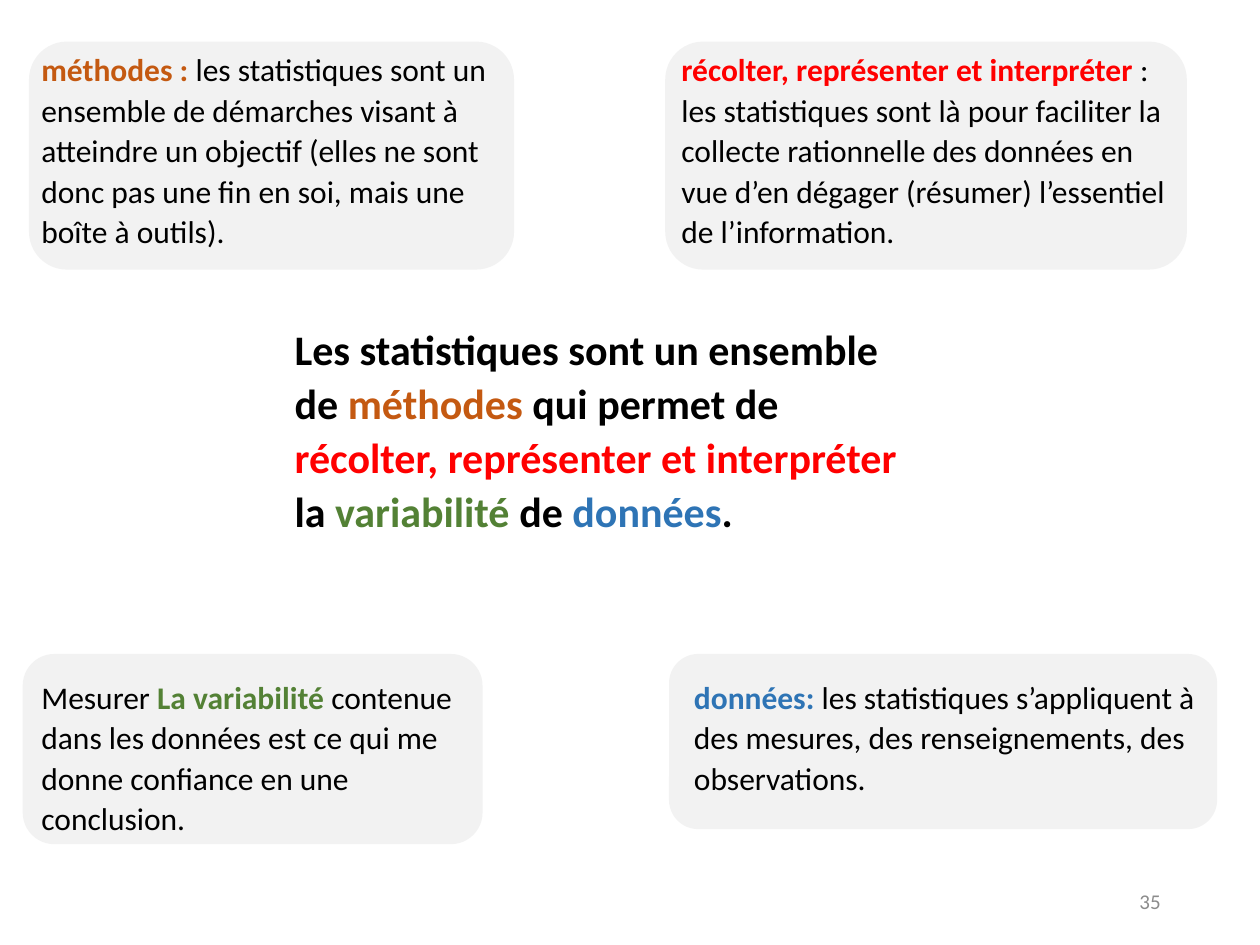
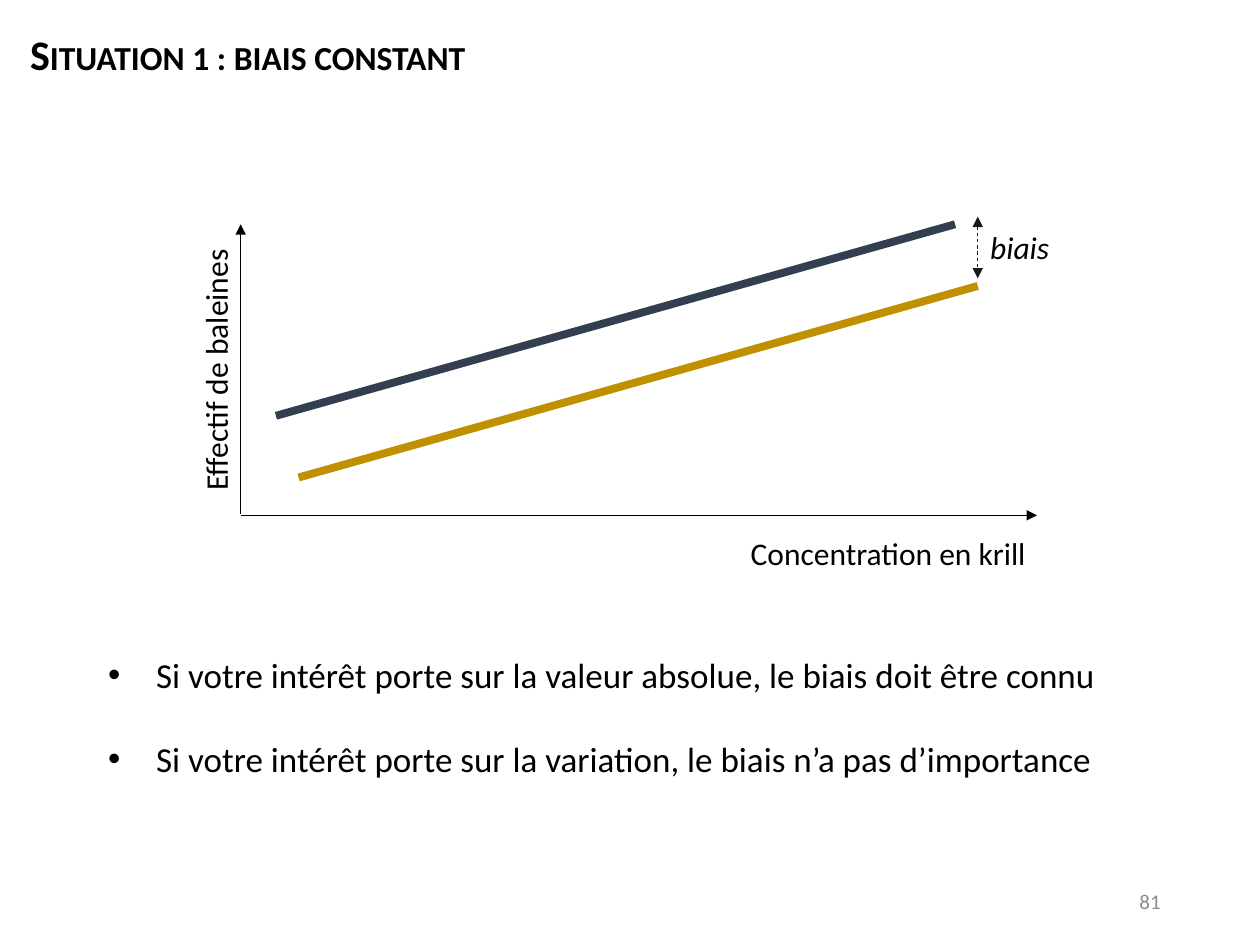
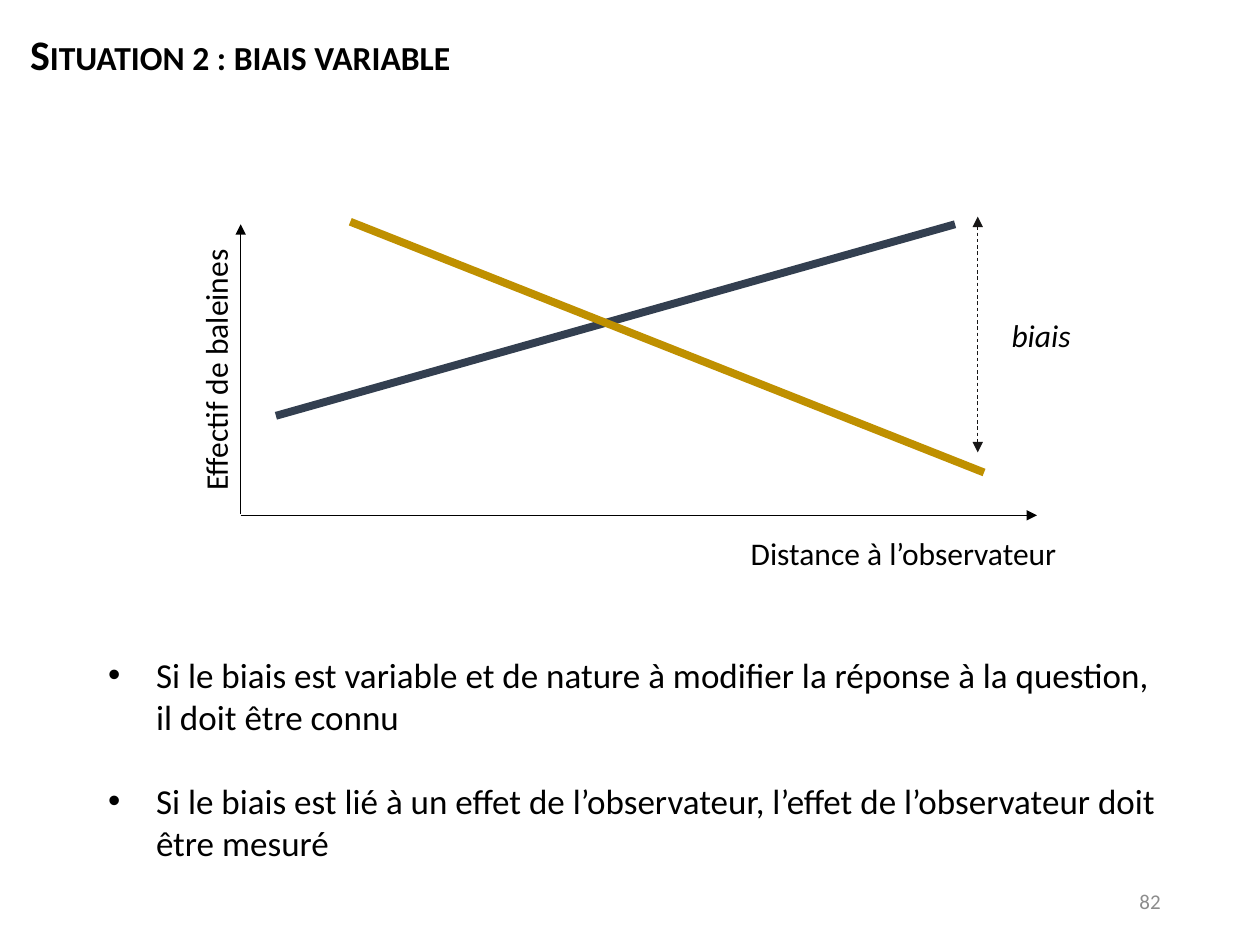
from lxml.etree import SubElement
from pptx import Presentation
from pptx.dml.color import RGBColor
from pptx.enum.dml import MSO_LINE
from pptx.enum.shapes import MSO_CONNECTOR as CONNECTOR, MSO_SHAPE as SHAPE
from pptx.enum.text import MSO_ANCHOR as ANCHOR, PP_ALIGN as ALIGN
from pptx.oxml.ns import qn
from pptx.util import Emu, Pt

PX = 9144  # 100 px to the inch
FONT = "Calibri"

BLACK = RGBColor(0x00, 0x00, 0x00)
INK = RGBColor(0x18, 0x17, 0x17)
GREY = RGBColor(0x8C, 0x8C, 0x8C)
PANEL = RGBColor(0xF2, 0xF2, 0xF2)
ORANGE = RGBColor(0xC4, 0x59, 0x11)
RED = RGBColor(0xFF, 0x00, 0x00)
GREEN = RGBColor(0x53, 0x81, 0x35)
BLUE = RGBColor(0x2E, 0x74, 0xB5)
NAVY = RGBColor(0x33, 0x3F, 0x50)
GOLD = RGBColor(0xBF, 0x90, 0x00)


def px(*lengths):
    return [Emu(length * PX) for length in lengths]


# Text
def style(span, size, colour=BLACK, bold=False, italic=False):
    font = span.font
    font.name, font.size = FONT, Pt(size)
    font.bold, font.italic = bold, italic
    font.color.rgb = colour


def add_box(page, place):
    box = page.shapes.add_textbox(*px(*place))
    box.text_frame.word_wrap = True
    return box


def add_label(page, place, text, size=18, **look):
    box = add_box(page, place)
    para = box.text_frame.paragraphs[0]
    para.text = text
    style(para.runs[0], size, **look)
    return box


def add_rich_text(page, place, size, spans):
    """Each span is (text, colour, bold)."""
    para = add_box(page, place).text_frame.paragraphs[0]
    para.line_spacing, para.space_after = 1.07, Pt(8)
    for text, colour, bold in spans:
        span = para.add_run()
        span.text = text
        style(span, size, colour, bold)


def add_title(page, text):
    box = add_label(page, (14, 15, 862, 51), text, 24, bold=True)
    para = box.text_frame.paragraphs[0]
    para.line_spacing = 1.07
    para.runs[0].font._element.set("cap", "small")


def add_page_number(page, number):
    box = add_label(page, (706, 695, 225, 40), str(number), 12, colour=GREY)
    box.text_frame.vertical_anchor = ANCHOR.MIDDLE
    box.text_frame.paragraphs[0].alignment = ALIGN.RIGHT


def add_bullets(page, height, items):
    frame = add_box(page, (76, 514, 855, height)).text_frame
    frame.text = "\n".join(items)
    for index, para in enumerate(frame.paragraphs):
        if index:
            para.space_before = Pt(24)
        indent = 38 * PX
        props = para._p.get_or_add_pPr()
        props.set("marL", str(indent))
        props.set("indent", str(-indent))
        SubElement(props, qn("a:buFont"), typeface="Arial")
        SubElement(props, qn("a:buChar"), char="•")
        style(para.runs[0], 20)


# Shapes and lines
def add_panel(page, place):
    panel = page.shapes.add_shape(SHAPE.ROUNDED_RECTANGLE, *px(*place))
    panel.shadow.inherit = False
    panel.fill.solid()
    panel.fill.fore_color.rgb = PANEL
    panel.line.fill.background()


def add_line(page, ends, colour=BLACK, width=0.5, arrows=(), dash=None):
    """Arrows names the ends with a head: headEnd, tailEnd."""
    connector = page.shapes.add_connector(CONNECTOR.STRAIGHT, *px(*ends))
    line = connector.line
    line.color.rgb, line.width = colour, Pt(width)
    if dash:
        line.dash_style = dash
    for end in arrows:
        SubElement(line._get_or_add_ln(), qn(f"a:{end}"), type="triangle")
    SubElement(connector._element.spPr, qn("a:effectLst"))


# Slides
def add_definition_page(page):
    for place in ((528, 33, 414, 181), (23, 33, 385, 181),
                  (18, 519, 365, 151), (531, 519, 435, 139)):
        add_panel(page, place)

    add_rich_text(page, (224, 249, 500, 181), 24, [
        ("Les statistiques sont un ensemble de ", BLACK, True),
        ("méthodes", ORANGE, True),
        (" qui permet de ", BLACK, True),
        ("récolter, représenter et interpréter", RED, True),
        (" la ", BLACK, True),
        ("variabilité", GREEN, True),
        (" de ", BLACK, True),
        ("données", BLUE, True),
        (".", BLACK, True)])
    add_rich_text(page, (23, 33, 402, 172), 18, [
        ("méthodes : ", ORANGE, True),
        ("les statistiques sont un ensemble de démarches visant à atteindre "
         "un objectif (elles ne sont donc pas une fin en soi, mais une boîte "
         "à outils).", BLACK, False)])
    add_rich_text(page, (531, 33, 410, 172), 18, [
        ("récolter, représenter et interpréter ", RED, True),
        (": les statistiques sont là pour faciliter la collecte rationnelle "
         "des données en vue d’en dégager (résumer) l’essentiel de "
         "l’information.", BLACK, False)])
    add_rich_text(page, (23, 531, 352, 140), 18, [
        ("Mesurer ", BLACK, False),
        ("La variabilité", GREEN, True),
        (" contenue dans les données est ce qui me donne confiance en une "
         "conclusion.", BLACK, False)])
    add_rich_text(page, (541, 531, 417, 107), 18, [
        ("données: ", BLUE, True),
        ("les statistiques s’appliquent à des mesures, des renseignements, "
         "des observations.", BLACK, False)])


def add_bias_page(page, title, x_label, observed, bias_bottom, bias_at,
                  bullets_height, bullets):
    add_title(page, title)
    # Axes
    add_line(page, (191, 408, 191, 178), arrows=["tailEnd"])
    add_line(page, (191, 409, 823, 409), arrows=["tailEnd"])
    add_label(page, (586, 419, 290, 40), x_label)
    y_label = add_label(page, (26, 234, 290, 40), "Effectif de baleines")
    y_label.rotation = 270
    # True and observed trends, with the gap between them
    add_line(page, (219, 330, 758, 178), NAVY, 4.5)
    add_line(page, observed, GOLD, 4.5)
    add_line(page, (776, 172, 776, bias_bottom), INK,
             arrows=["headEnd", "tailEnd"], dash=MSO_LINE.DASH)
    add_label(page, (*bias_at, 95, 40), "biais", italic=True)
    add_bullets(page, bullets_height, bullets)


def main():
    deck = Presentation()
    deck.slide_width, deck.slide_height = px(1000, 750)
    pages = []
    for number in (35, 81, 82):
        page = deck.slides.add_slide(deck.slide_layouts[6])
        add_page_number(page, number)
        pages.append(page)
    definition, constant, variable = pages

    add_definition_page(definition)
    add_bias_page(
        constant, "Situation 1 : biais constant", "Concentration en krill",
        observed=(237, 379, 776, 227), bias_bottom=221, bias_at=(776, 176),
        bullets_height=111, bullets=[
            "Si votre intérêt porte sur la valeur absolue, le biais doit "
            "être connu",
            "Si votre intérêt porte sur la variation, le biais n’a pas "
            "d’importance"])
    add_bias_page(
        variable, "Situation 2 : biais variable", "Distance à l’observateur",
        observed=(278, 176, 781, 375), bias_bottom=359, bias_at=(793, 246),
        bullets_height=178, bullets=[
            "Si le biais est variable et de nature à modifier la réponse à "
            "la question, il doit être connu",
            "Si le biais est lié à un effet de l’observateur, l’effet de "
            "l’observateur doit être mesuré"])
    deck.save("out.pptx")


if __name__ == "__main__":
    main()
